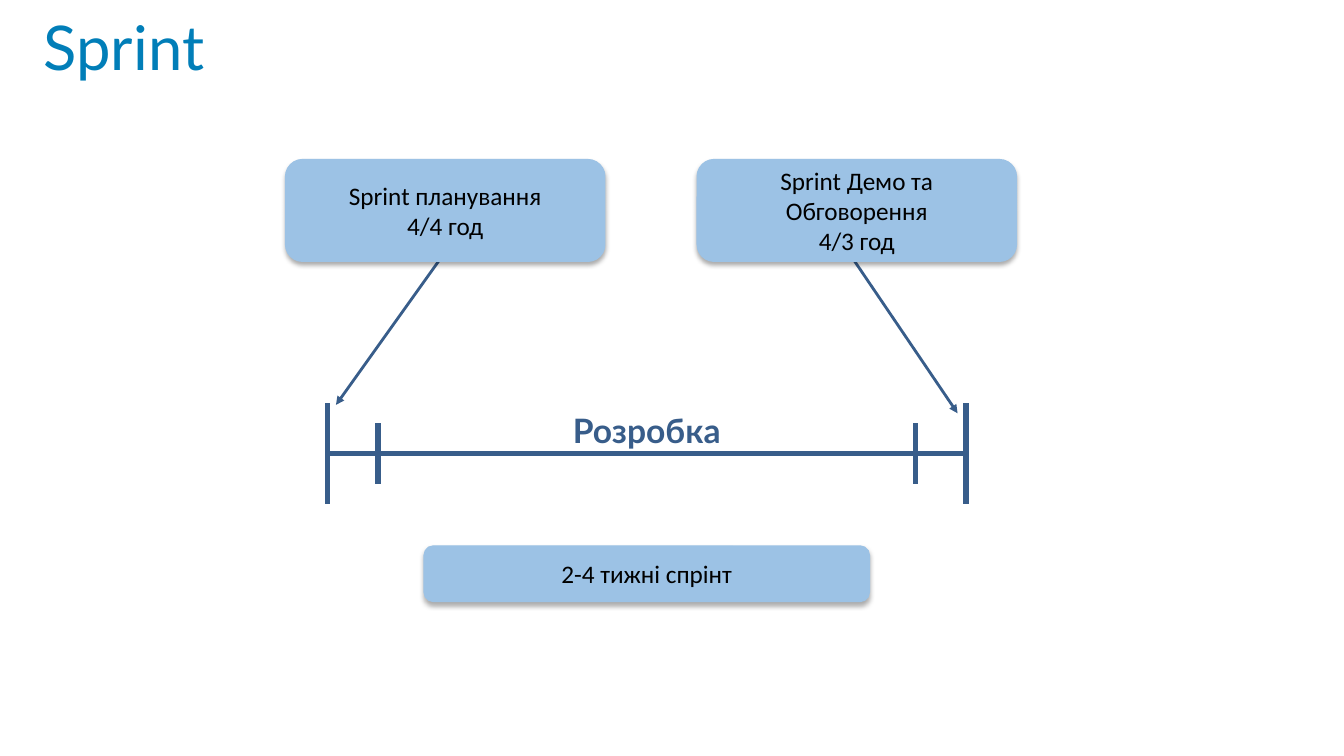
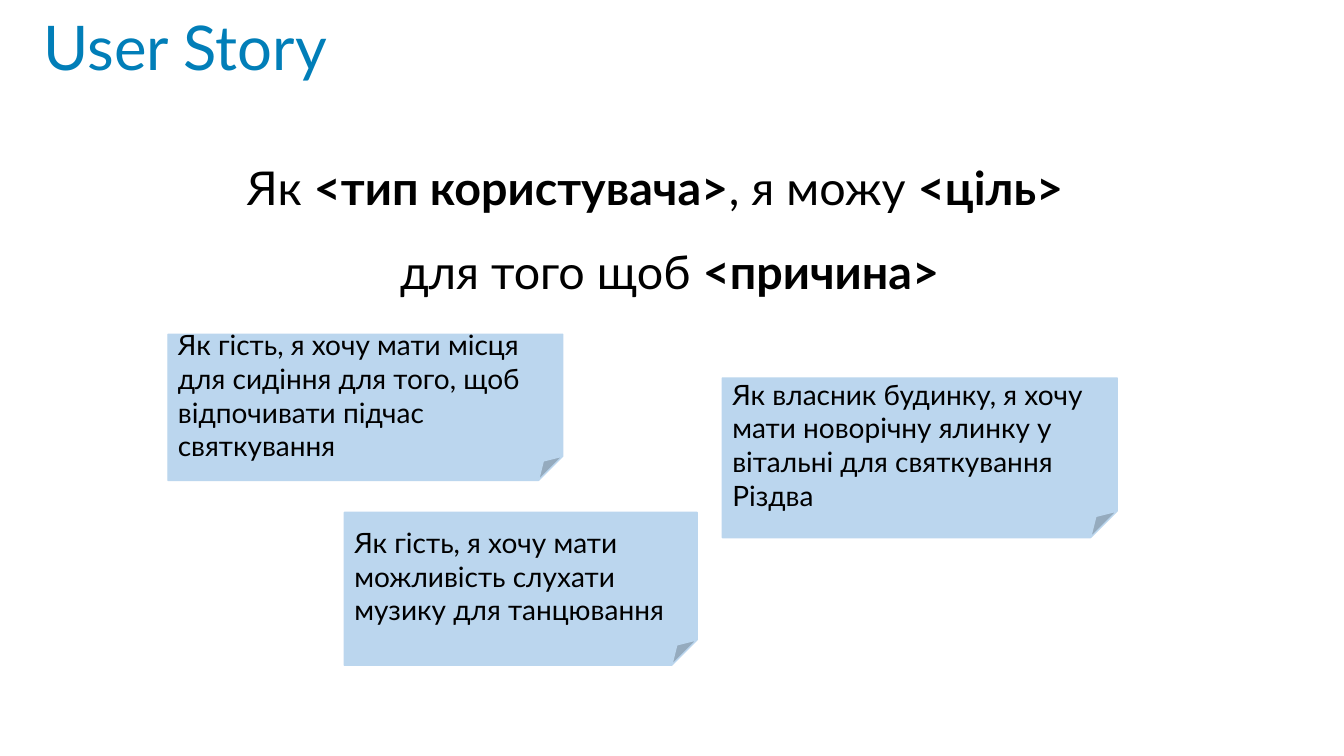
import dataclasses
import functools

import pptx
import pptx.dml.color
import pptx.enum.dml
import pptx.enum.shapes
import pptx.enum.text
import pptx.oxml
import pptx.oxml.ns
import pptx.util

Pt = pptx.util.Pt
RGB = pptx.dml.color.RGBColor.from_string
Align = pptx.enum.text.PP_ALIGN
Anchor = pptx.enum.text.MSO_ANCHOR
Fit = pptx.enum.text.MSO_AUTO_SIZE
Preset = pptx.enum.shapes.MSO_SHAPE
COLS, ROWS = 160, 90
CELL = pptx.util.Inches(13.33) / COLS


@dataclasses.dataclass(frozen=True)
class Theme:
    """Colours, fonts and type sizes of the deck."""
    head: str = "017EB8"
    ink: str = "000000"
    line: str = "385D8A"
    box: str = "9CC2E5"
    note: str = "BBD6EE"
    main: str = "Lato"
    plain: str = "Calibri"
    title: float = 44
    lead: float = 33.3
    label: float = 24
    story: float = 20
    small: float = 18


THEME = Theme()


def grid(*cells):
    """Turn grid cells into slide lengths."""
    return [round(cell * CELL) for cell in cells]


def dress(item, look):
    """Set each dotted attribute of an item from a dict."""
    for key, value in look.items():
        *route, last = key.split(".")
        setattr(functools.reduce(getattr, route, item), last, value)


def face(size, color=THEME.ink, name=THEME.main, bold=False):
    """Return the format values of a run of text."""
    return {"font.size": Pt(size), "font.name": name, "font.bold": bold,
            "font.color.rgb": RGB(color)}


def write(shape, paras, look, align=Align.LEFT, anchor=Anchor.MIDDLE, space=1.0):
    """Fill a shape with paragraphs of (text, format) runs or plain strings."""
    frame = shape.text_frame
    dress(frame, {"word_wrap": True, "auto_size": Fit.NONE, "vertical_anchor": anchor})
    for num, runs in enumerate(paras):
        para = frame.add_paragraph() if num else frame.paragraphs[0]
        dress(para, {"alignment": align, "line_spacing": space})
        for text, more in [(runs, {})] if isinstance(runs, str) else runs:
            run = para.add_run()
            run.text = text
            dress(run, {**look, **more})


def start(deck, text):
    """Add a slide with its title."""
    slide = deck.slides.add_slide(deck.slide_layouts[5])
    title = slide.shapes.title
    dress(title, dict(zip(("left", "top", "width", "height"), grid(4, 0, 144, 12))))
    write(title, [text], face(THEME.title, THEME.head), space=0.9)
    return slide


def shade(shape):
    """Give a shape a soft shadow below it."""
    shape.shadow.inherit = False
    effect = shape.element.spPr.find(pptx.oxml.ns.qn("a:effectLst"))
    effect.append(pptx.oxml.parse_xml(
        f'<a:outerShdw {pptx.oxml.ns.nsdecls("a")} blurRad="{Pt(3.5)}" dist="{Pt(2.2)}" '
        'dir="5400000" algn="ctr" rotWithShape="0">'
        '<a:srgbClr val="000000"><a:alpha val="32000"/></a:srgbClr></a:outerShdw>'))


def panel(slide, kind, place, color):
    """Add a plain filled shape."""
    shape = slide.shapes.add_shape(kind, *grid(*place))
    shape.shadow.inherit = False
    shape.fill.solid()
    dress(shape, {"fill.fore_color.rgb": RGB(color), "line.color.rgb": RGB(color),
                  "line.width": Pt(1)})
    return shape


def box(slide, place, *paras):
    """Add a rounded box with centred text."""
    shape = panel(slide, Preset.ROUNDED_RECTANGLE, place, THEME.box)
    shade(shape)
    write(shape, paras, face(THEME.small, name=THEME.plain), Align.CENTER)


def note(slide, place, text):
    """Add a sticky note with a folded corner."""
    shape = panel(slide, Preset.FOLDED_CORNER, place, THEME.note)
    write(shape, [text], face(THEME.story))


def rule(slide, ends, width=4, arrow=False):
    """Add a straight line, with an arrowhead if asked."""
    line = slide.shapes.add_connector(pptx.enum.shapes.MSO_CONNECTOR.STRAIGHT, *grid(*ends))
    dress(line, {"line.color.rgb": RGB(THEME.line), "line.width": Pt(width)})
    space = pptx.oxml.ns.nsdecls("a")
    if arrow:
        line.line._get_or_add_ln().append(
            pptx.oxml.parse_xml(f'<a:tailEnd {space} type="triangle"/>'))
    line.element.spPr.append(pptx.oxml.parse_xml(f"<a:effectLst {space}/>"))


def label(slide, place, paras, look, **more):
    """Add a centred text box and return it."""
    shape = slide.shapes.add_textbox(*grid(*place))
    write(shape, paras, look, Align.CENTER, Anchor.TOP, **more)
    return shape


def axis(slide, left, right, mid):
    """Draw a time line with two ticks at each end."""
    rule(slide, (left, mid, right, mid))
    for inset, half in ((0, 6), (6, 3.6)):
        for col in (left + inset, right - inset):
            rule(slide, (col, mid - half, col, mid + half))


def sprint(deck):
    """Build the slide about the sprint."""
    slide = start(deck, "Sprint")
    rule(slide, (53, 30, 40, 48.2), 2, True)
    rule(slide, (101, 30, 114, 49.2), 2, True)
    axis(slide, 39, 115, 54)
    label(slide, (56.5, 48.2, 41, 6), ["Розробка"],
          face(THEME.label, THEME.line, bold=True))
    box(slide, (34, 19, 38, 12.1), "Sprint планування", "4/4 год")
    box(slide, (83, 19, 38, 12.1), "Sprint Демо та Обговорення", "4/3 год")
    box(slide, (50.5, 65, 53, 6.6), "2-4 тижні спрінт")


def story(deck):
    """Build the slide about the user story."""
    slide = start(deck, "User Story")
    parts = ("Як ", "<тип користувача>", ", я можу ", "<ціль>",
             " для того щоб ", "<причина>")
    runs = [(part, {"font.bold": num % 2 == 1}) for num, part in enumerate(parts)]
    lead = label(slide, (24, 15, 108, 21), [runs], face(THEME.lead), space=1.5)
    props = lead.text_frame.paragraphs[0]._p.get_or_add_pPr()
    hang = pptx.util.Inches(0.29)
    props.set("marL", str(hang))
    props.set("indent", str(-hang))
    note(slide, (41, 61, 42, 18.2),
         "Як гість, я хочу мати можливість слухати музику для танцювання")
    note(slide, (86, 45, 47, 19),
         "Як власник будинку, я хочу мати новорічну ялинку у вітальні для святкування Різдва")
    note(slide, (20, 39.8, 47, 17.4),
         "Як гість, я хочу мати місця для сидіння для того, щоб відпочивати підчас святкування")


def main():
    """Build and save the deck."""
    deck = pptx.Presentation()
    width, height = grid(COLS, ROWS)
    dress(deck, {"slide_width": width, "slide_height": height})
    sprint(deck)
    story(deck)
    deck.save("out.pptx")


if __name__ == "__main__":
    main()
